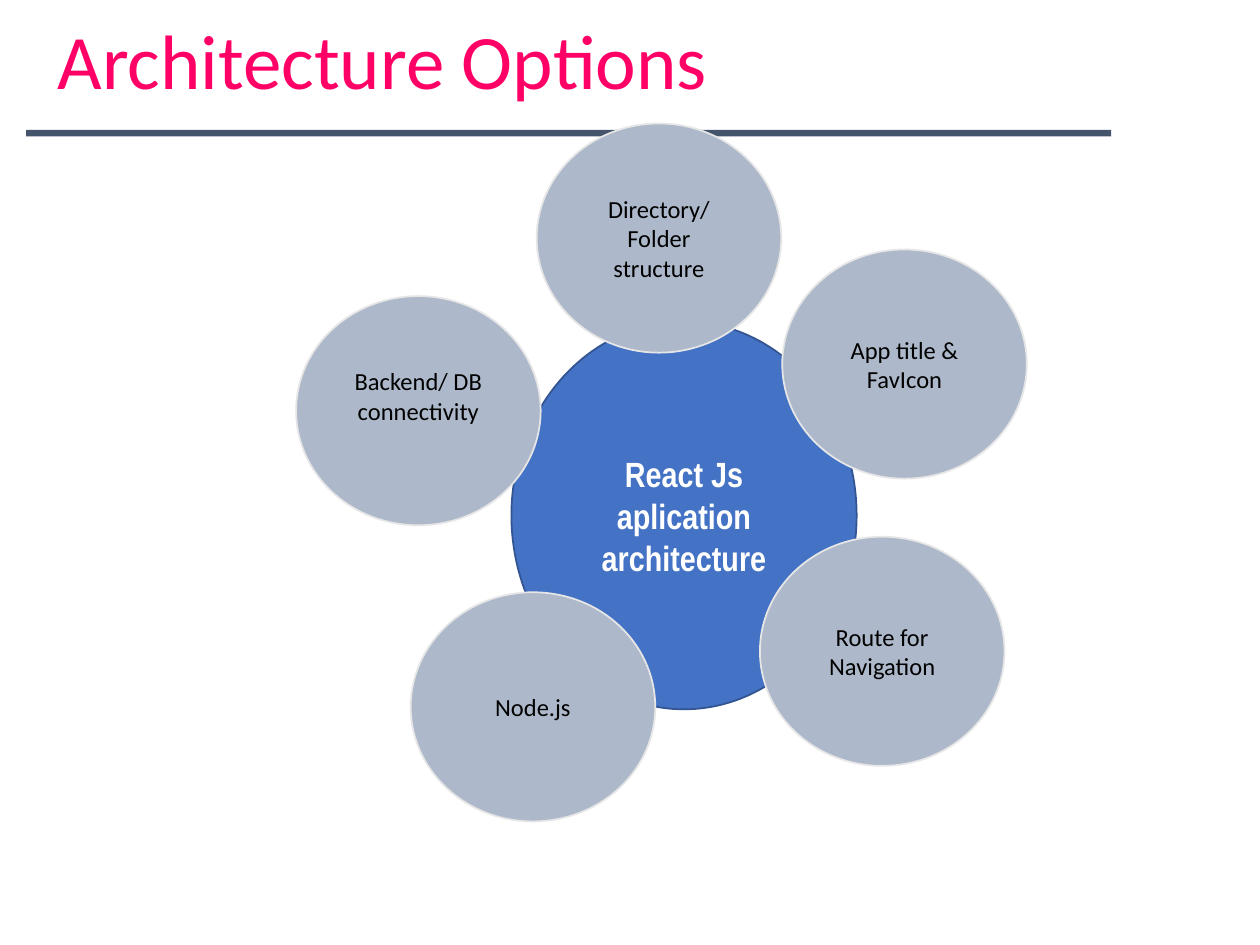
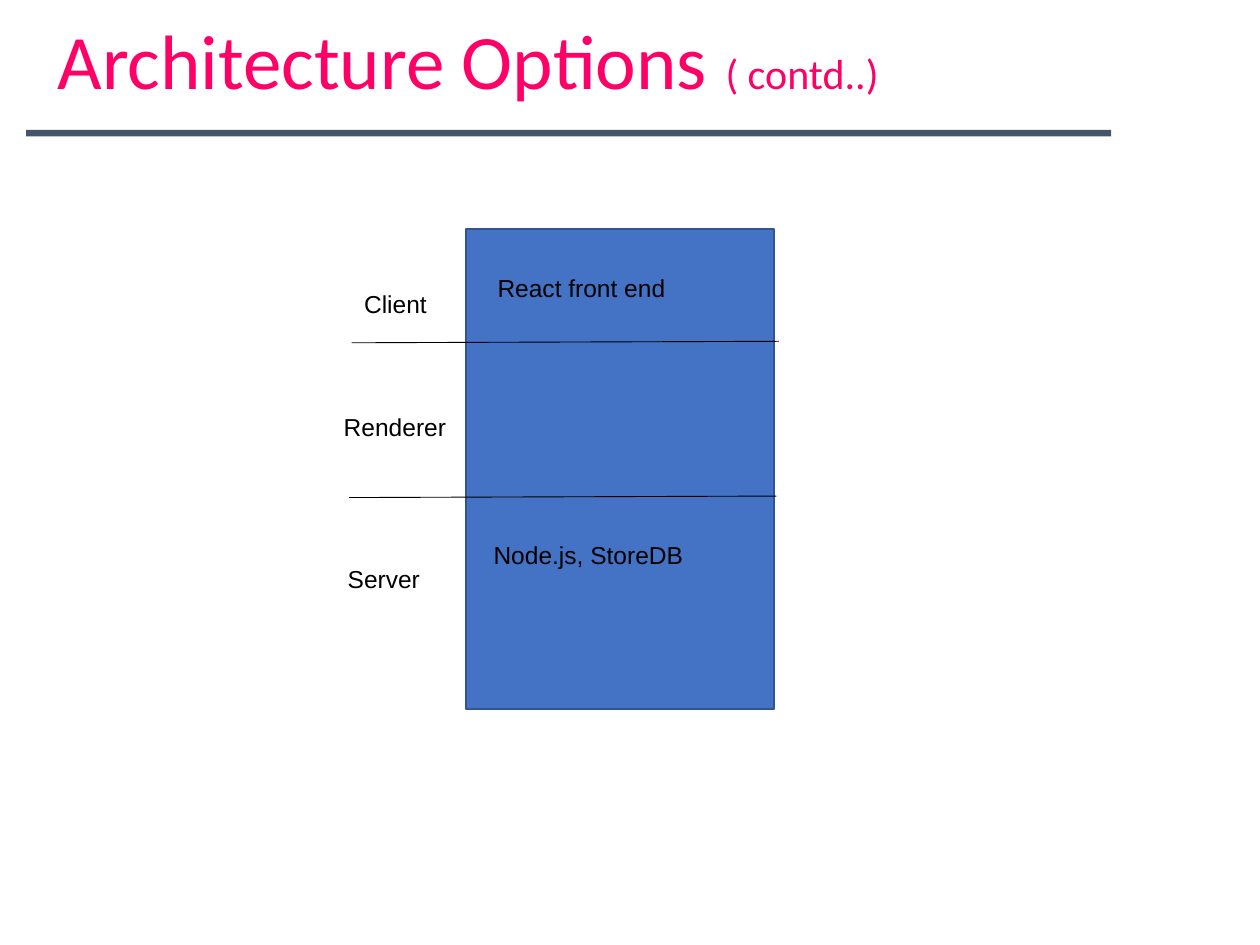
from collections import namedtuple

from lxml import etree
from pptx import Presentation
from pptx.dml.color import RGBColor
from pptx.enum.shapes import MSO_CONNECTOR, MSO_SHAPE
from pptx.enum.text import MSO_ANCHOR, MSO_AUTO_SIZE, PP_ALIGN
from pptx.oxml.ns import qn
from pptx.util import Cm, Pt

RECTANGLE, ELLIPSE = MSO_SHAPE.RECTANGLE, MSO_SHAPE.OVAL
STRAIGHT = MSO_CONNECTOR.STRAIGHT
LEFT, CENTER = PP_ALIGN.LEFT, PP_ALIGN.CENTER
TOP, MIDDLE = MSO_ANCHOR.TOP, MSO_ANCHOR.MIDDLE
NO_AUTOFIT = MSO_AUTO_SIZE.NONE

PINK = RGBColor(0xFF, 0x00, 0x66)
SLATE = RGBColor(0x44, 0x54, 0x6A)
BLUE = RGBColor(0x44, 0x72, 0xC4)
DARK_BLUE = RGBColor(0x32, 0x54, 0x91)
GREY_BLUE = RGBColor(0xAD, 0xB9, 0xCA)
PALE_GREY = RGBColor(0xE7, 0xE6, 0xE6)
WHITE = RGBColor(0xFF, 0xFF, 0xFF)
BLACK = RGBColor(0x00, 0x00, 0x00)

TITLE_ONLY = 5
LABEL_HEIGHT = 0.86
SATELLITE_SIZE = (4.93, 4.62)

Box = namedtuple("Box", "left top width height")
TITLE_BOX = Box(0.91, 0.33, 21.23, 1.68)
BAND_BOX = Box(0.53, 2.62, 21.87, 0.13)
HUB_DIAGRAM_BOX = Box(5.97, 2.49, 14.73, 14.07)
STACK_BOX = Box(9.4, 4.62, 6.2, 9.68)

SATELLITES = [
    ("Node.js", 2.31, 9.45, 0.13),
    ("Backend/ DB connectivity", 0, 3.48, 0.73),
    ("Directory/ Folder structure", 4.85, 0, 0.13),
    ("App title & FavIcon", 9.8, 2.54, 0.13),
    ("Route for Navigation", 9.35, 8.33, 0.13),
]
DIVIDERS = [(-2.31, 2.29), (-2.36, 5.41)]
DIVIDER_WIDTH, DIVIDER_RISE = 8.61, 0.03
TIER_LABELS = [
    ("Client", -2.31, 1.09, 1.78, False),
    ("Renderer", -2.72, 3.56, 2.59, False),
    ("Server", -2.64, 6.63, 1.98, False),
    ("React front end", 0.38, 0.76, 5.21, True),
    ("Node.js, StoreDB", 0.3, 6.15, 5.21, True),
]


def in_cm(box):
    """Convert the four numbers of a box to lengths."""
    return [Cm(value) for value in box]


def add_run(paragraph, text, font_name, size, color, bold=False):
    """Append one formatted run to a paragraph."""
    run = paragraph.add_run()
    run.text = text
    run.font.name = font_name
    run.font.size = Pt(size)
    run.font.color.rgb = color
    run.font.bold = bold


def add_filled_shape(slide, kind, box, fill, line=None):
    """Add a flat shape with a thin outline or none."""
    shape = slide.shapes.add_shape(kind, *in_cm(box))
    shape.shadow.inherit = False
    shape.fill.solid()
    shape.fill.fore_color.rgb = fill
    if line is None:
        shape.line.fill.background()
    else:
        shape.line.color.rgb = line
        shape.line.width = Pt(1)
    return shape


def add_bubble(slide, box, text, fill, line, font_name, size, color, bold=False):
    """Add an ellipse with centred text and return its text frame."""
    bubble = add_filled_shape(slide, ELLIPSE, box, fill, line)
    frame = bubble.text_frame
    frame.word_wrap = True
    frame.vertical_anchor = MIDDLE
    paragraph = frame.paragraphs[0]
    paragraph.alignment = CENTER
    add_run(paragraph, text, font_name, size, color, bold)
    return frame


def add_label(slide, box, text, wrap):
    """Add a plain text label."""
    frame = slide.shapes.add_textbox(*in_cm(box)).text_frame
    frame.word_wrap = wrap
    add_run(frame.paragraphs[0], text, "Arial", 14, BLACK)


def add_divider(slide, left, top):
    """Add a thin, slightly rising line between two tiers."""
    divider = slide.shapes.add_connector(
        STRAIGHT, Cm(left), Cm(top), Cm(left + DIVIDER_WIDTH), Cm(top - DIVIDER_RISE)
    )
    divider.line.color.rgb = BLACK
    divider.line.width = Pt(0.5)
    properties = divider.element.find(qn("p:spPr"))
    etree.SubElement(properties, qn("a:effectLst"))


def add_titled_slide(presentation, *title_runs):
    """Add a slide with the shared band and a title of text and size pairs."""
    slide = presentation.slides.add_slide(presentation.slide_layouts[TITLE_ONLY])
    add_filled_shape(slide, RECTANGLE, BAND_BOX, SLATE)
    title = slide.shapes.title
    title.left, title.top, title.width, title.height = in_cm(TITLE_BOX)
    frame = title.text_frame
    frame.auto_size = NO_AUTOFIT
    frame.vertical_anchor = TOP
    paragraph = frame.paragraphs[0]
    paragraph.alignment = LEFT
    paragraph.line_spacing = 0.9
    for text, size in title_runs:
        add_run(paragraph, text, "Calibri", size, PINK)
    return slide


def add_hub_diagram(slide, box):
    """Draw the central circle and the topics around it."""
    hub = Box(box.left + 4.34, box.top + 3.99, 6.96, 7.82)
    add_bubble(slide, hub, "React Js aplication architecture",
               BLUE, DARK_BLUE, "Arial Narrow", 20, WHITE, True)
    for text, left, top, bottom_margin in SATELLITES:
        satellite = Box(box.left + left, box.top + top, *SATELLITE_SIZE)
        frame = add_bubble(slide, satellite, text,
                           GREY_BLUE, PALE_GREY, "Calibri", 14, BLACK)
        frame.margin_bottom = Cm(bottom_margin)


def add_tier_stack(slide, box):
    """Draw the block of tiers with its dividers and labels."""
    add_filled_shape(slide, RECTANGLE, box, BLUE, DARK_BLUE)
    for left, top in DIVIDERS:
        add_divider(slide, box.left + left, box.top + top)
    for text, left, top, width, wrap in TIER_LABELS:
        label = Box(box.left + left, box.top + top, width, LABEL_HEIGHT)
        add_label(slide, label, text, wrap)


def main():
    """Build and save the presentation."""
    presentation = Presentation()
    presentation.slide_width = Cm(25.4)
    presentation.slide_height = Cm(19.05)
    options_slide = add_titled_slide(presentation, ("Architecture Options", 44))
    add_hub_diagram(options_slide, HUB_DIAGRAM_BOX)
    tiers_slide = add_titled_slide(
        presentation, ("Architecture Options ", 44), ("( contd..)", 24)
    )
    add_tier_stack(tiers_slide, STACK_BOX)
    presentation.save("out.pptx")


if __name__ == "__main__":
    main()
